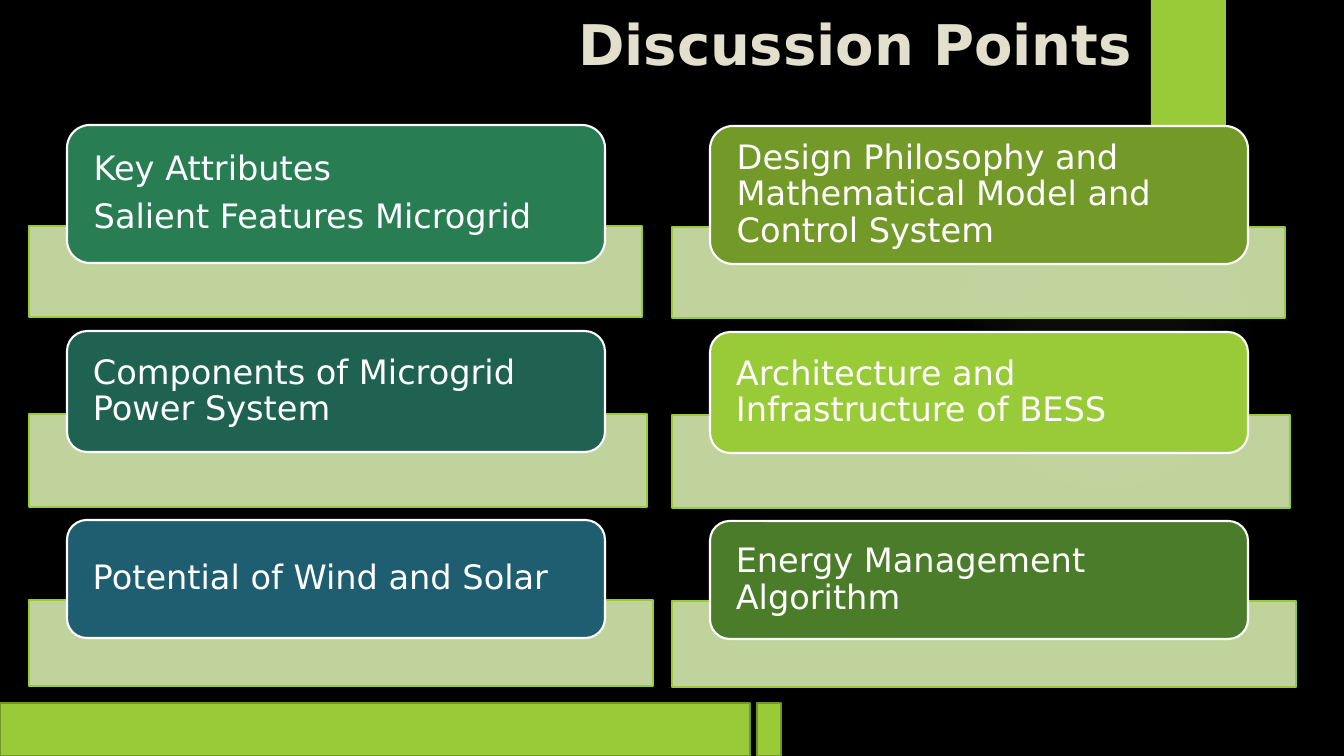
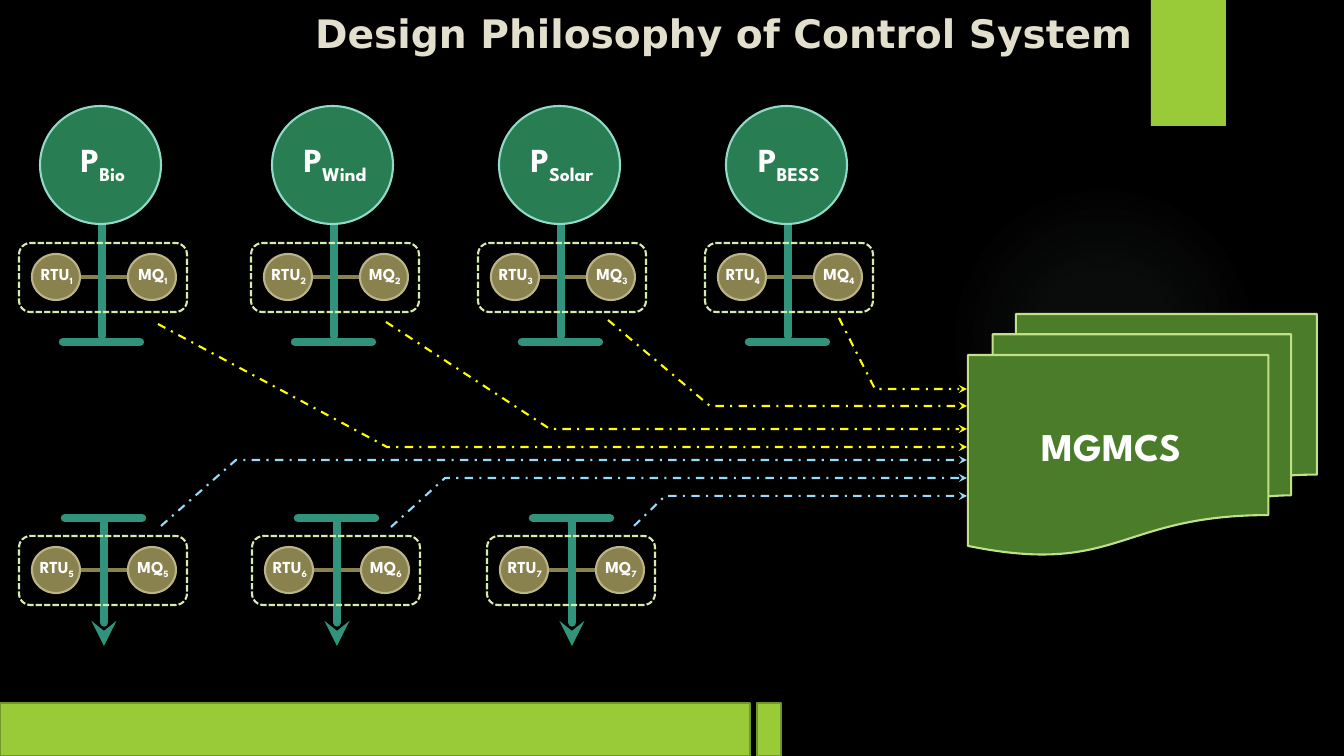
from dataclasses import dataclass

from lxml.etree import SubElement
from pptx import Presentation
from pptx.dml.color import RGBColor as RGB
from pptx.enum.dml import MSO_LINE as Dash
from pptx.enum.shapes import MSO_CONNECTOR as Link, MSO_SHAPE as Kind
from pptx.enum.text import MSO_ANCHOR as Anchor, MSO_AUTO_SIZE as Fit, PP_ALIGN as Align
from pptx.oxml import parse_xml
from pptx.oxml.ns import nsdecls, qn
from pptx.util import Pt

WIDE, HIGH = 1344, 756
PX = 12192000 / WIDE


@dataclass(frozen=True)
class Theme:
    back: str = "000000"
    white: str = "FFFFFF"
    title: str = "E2DFCC"
    lime: str = "99CB38"
    edge: str = "719629"
    pale: str = "D6EAAF"
    glow: str = "87A896"
    jade: str = "297D53"
    mint: str = "8FDAC8"
    pine: str = "206252"
    sea: str = "1E5E70"
    olive: str = "739A28"
    moss: str = "4A7C29"
    leaf: str = "C2E088"
    teal: str = "31937B"
    khaki: str = "89814E"
    sand: str = "BBB487"
    yellow: str = "FFFF00"
    sky: str = "97DBFB"
    sans: str = "DejaVu Sans"
    round: str = "League Spartan"
    head: int = 40
    large: int = 28
    body: int = 24
    small: int = 12
    thin: float = 1.5
    mid: int = 3
    thick: int = 6


T = Theme()


def px(*sizes):
    return [round(size * PX) for size in sizes]


def text(frame, *lines, size=T.body, font=T.round, color=T.white, bold=True,
         align=Align.CENTER, anchor=Anchor.TOP, wrap=False, inset=(0, 0, 0, 0),
         space=None, gap=0):
    frame.auto_size = Fit.NONE
    frame.word_wrap = wrap
    frame.vertical_anchor = anchor
    (frame.margin_left, frame.margin_top,
     frame.margin_right, frame.margin_bottom) = px(*inset)
    for row, line in enumerate(lines):
        para = frame.add_paragraph() if row else frame.paragraphs[0]
        para.alignment = align
        if space:
            para.line_spacing = space
        if row:
            para.space_before = Pt(gap)
        for part, words in enumerate(line.split("_")):
            run = para.add_run()
            run.text = words
            run.font.size = Pt(size)
            run.font.name = font
            run.font.bold = bold
            run.font.color.rgb = RGB.from_string(color)
            if part:
                run.font._element.set("baseline", "-25000")


def stroke(item, color, width, dash=None):
    item.line.color.rgb = RGB.from_string(color)
    item.line.width = Pt(width)
    if dash:
        item.line.dash_style = dash
    return item.element.xpath("./p:spPr/a:ln")[0]


def point(line):
    SubElement(line, qn("a:tailEnd"), type="stealth")


def shape(slide, kind, box, fill=None, edge=None, dash=None, alpha=None):
    item = slide.shapes.add_shape(kind, *px(*box))
    item.shadow.inherit = False
    if fill:
        item.fill.solid()
        item.fill.fore_color.rgb = RGB.from_string(fill)
    else:
        item.fill.background()
    if alpha:
        tint = item.element.xpath("./p:spPr/a:solidFill/a:srgbClr")[0]
        SubElement(tint, qn("a:alpha"), val=str(alpha * 1000))
    if edge:
        stroke(item, edge, T.thin, dash)
    else:
        item.line.fill.background()
    return item


def rule(slide, start, end, color, width, cap="flat", arrow=False):
    item = slide.shapes.add_connector(Link.STRAIGHT, *px(*start, *end))
    line = stroke(item, color, width)
    line.set("cap", cap)
    if arrow:
        point(line)
    SubElement(item.element.spPr, qn("a:effectLst"))


def wire(slide, color, start, *turns):
    pen = slide.shapes.build_freeform(*start, scale=PX)
    pen.add_line_segments(turns, close=False)
    item = pen.convert_to_shape()
    item.shadow.inherit = False
    item.fill.background()
    point(stroke(item, color, T.thin, Dash.DASH_DOT))


def halo(slide, box):
    item = shape(slide, Kind.OVAL, box)
    stops = "".join(
        f'<a:gs pos="{pos}000"><a:srgbClr val="{T.glow}">'
        f'<a:alpha val="{alpha}000"/></a:srgbClr></a:gs>'
        for pos, alpha in ((0, 7), (36, 6), (69, 0)))
    fade = parse_xml(
        f'<a:gradFill {nsdecls("a")}><a:gsLst>{stops}</a:gsLst><a:path path="circle">'
        '<a:fillToRect l="50000" t="50000" r="50000" b="50000"/></a:path></a:gradFill>')
    item.element.spPr.replace(item.element.xpath("./p:spPr/a:noFill")[0], fade)
    return item


def dress(layout, slide):
    layout.background.fill.solid()
    layout.background.fill.fore_color.rgb = RGB.from_string(T.back)
    parts = [
        halo(slide, (949, 184, 310, 310)),
        shape(slide, Kind.RECTANGLE, (1151, 0, 75, 126), T.lime),
        shape(slide, Kind.RECTANGLE, (0, 703, 750, 53), T.lime, T.edge),
        shape(slide, Kind.RECTANGLE, (757, 703, 24, 53), T.lime, T.edge),
    ]
    for spot, item in enumerate(parts):
        item.element.nvSpPr.cNvPr.set("id", str(50 + spot))
        layout.shapes.element.insert(2 + spot, item.element)


def title(slide, words, left, size):
    item = slide.shapes.title
    item.left, item.top, item.width, item.height = px(left, 4, 1142 - left, 113)
    text(item.text_frame, words, size=size, font=T.sans, color=T.title,
         align=Align.RIGHT, wrap=True, inset=(10, 5, 10, 5))


def topics(slide):
    title(slide, "Discussion Points", 241, T.head)
    rows = ((125, 138, 226, 91, 613), (331, 121, 414, 93, 618), (520, 118, 600, 86, 624))
    sides = (
        (29, 0, (
            (T.jade, "Key Attributes", "Salient Features Microgrid"),
            (T.pine, "Components of Microgrid Power System"),
            (T.sea, "Potential of Wind and Solar"))),
        (672, 1, (
            (T.olive, "Design Philosophy and Mathematical Model and Control System"),
            (T.lime, "Architecture and Infrastructure of BESS"),
            (T.moss, "Energy Management Algorithm"))),
    )
    for left, drop, cards in sides:
        for (top, tall, low, deep, wide), (fill, *lines) in zip(rows, cards):
            shape(slide, Kind.RECTANGLE, (left, low + drop, wide, deep),
                  T.pale, T.lime, alpha=90)
            card = shape(slide, Kind.ROUNDED_RECTANGLE,
                         (left + 38, top + drop, 538, tall), fill, T.white)
            text(card.text_frame, *lines, font=T.sans, bold=False, align=Align.LEFT,
                 anchor=Anchor.MIDDLE, wrap=True, inset=(20, 0, 20, 0),
                 space=0.9, gap=8.4)


def meter(slide, left, top, num):
    mid = top + 23
    rule(slide, (left + 32, mid), (left + 98, mid), T.khaki, T.mid)
    for step, name in enumerate(("RTU", "MQ")):
        disc = shape(slide, Kind.OVAL, (left + 96 * step, top, 48, 46), T.khaki, T.sand)
        text(disc.text_frame, f"{name}_{num}", size=T.small, inset=(2, 3, 0, 0))


def stem(slide, left, start, end, bar, arrow=False):
    rule(slide, (left, start), (left, end), T.teal, T.thick, "rnd", arrow)
    rule(slide, (left - 39, bar), (left + 38, bar), T.teal, T.thick, "rnd")


def fence(slide, left, top):
    shape(slide, Kind.ROUNDED_RECTANGLE, (left - 13, top, 168, 69),
          edge=T.pale, dash=Dash.SQUARE_DOT)


def source(slide, left, name, num):
    meter(slide, left, 254, num)
    stem(slide, left + 70, 223, 336, 342)
    disc = shape(slide, Kind.OVAL, (left + 8, 106, 121, 118), T.jade, T.mint)
    text(disc.text_frame, f"P_{name}", inset=(5, 16, 0, 0))
    fence(slide, left, 243)


def load(slide, left, num):
    meter(slide, left, 547, num)
    stem(slide, left + 72, 519, 646, 518, arrow=True)
    fence(slide, left, 536)


def control(slide):
    title(slide, "Design Philosophy of Control System", 48, T.large)
    stack = shape(slide, Kind.FLOWCHART_MULTIDOCUMENT, (968, 314, 349, 241), T.moss, T.leaf)
    text(stack.text_frame, "MGMCS", size=T.large, inset=(0, 67, 14, 0))
    plants = zip((32, 264, 491, 718), ("Bio", "Wind", "Solar", "BESS"))
    for num, (left, name) in enumerate(plants, 1):
        source(slide, left, name, num)
    for num, left in enumerate((32, 265, 500), 5):
        load(slide, left, num)
    wires = (
        (T.yellow, (158, 324), 387, 447),
        (T.yellow, (386, 322), 550, 429),
        (T.yellow, (608, 320), 710, 406),
        (T.yellow, (839, 318), 875, 389),
        (T.sky, (161, 526), 236, 460),
        (T.sky, (391, 527), 445, 478),
        (T.sky, (634, 526), 665, 496),
    )
    for color, start, bend, level in wires:
        wire(slide, color, start, (bend, level), (967, level))


def main():
    deck = Presentation()
    deck.slide_width, deck.slide_height = px(WIDE, HIGH)
    layout = deck.slide_layouts[5]
    first, second = (deck.slides.add_slide(layout) for _ in range(2))
    dress(layout, first)
    topics(first)
    control(second)
    deck.save("out.pptx")


if __name__ == "__main__":
    main()
